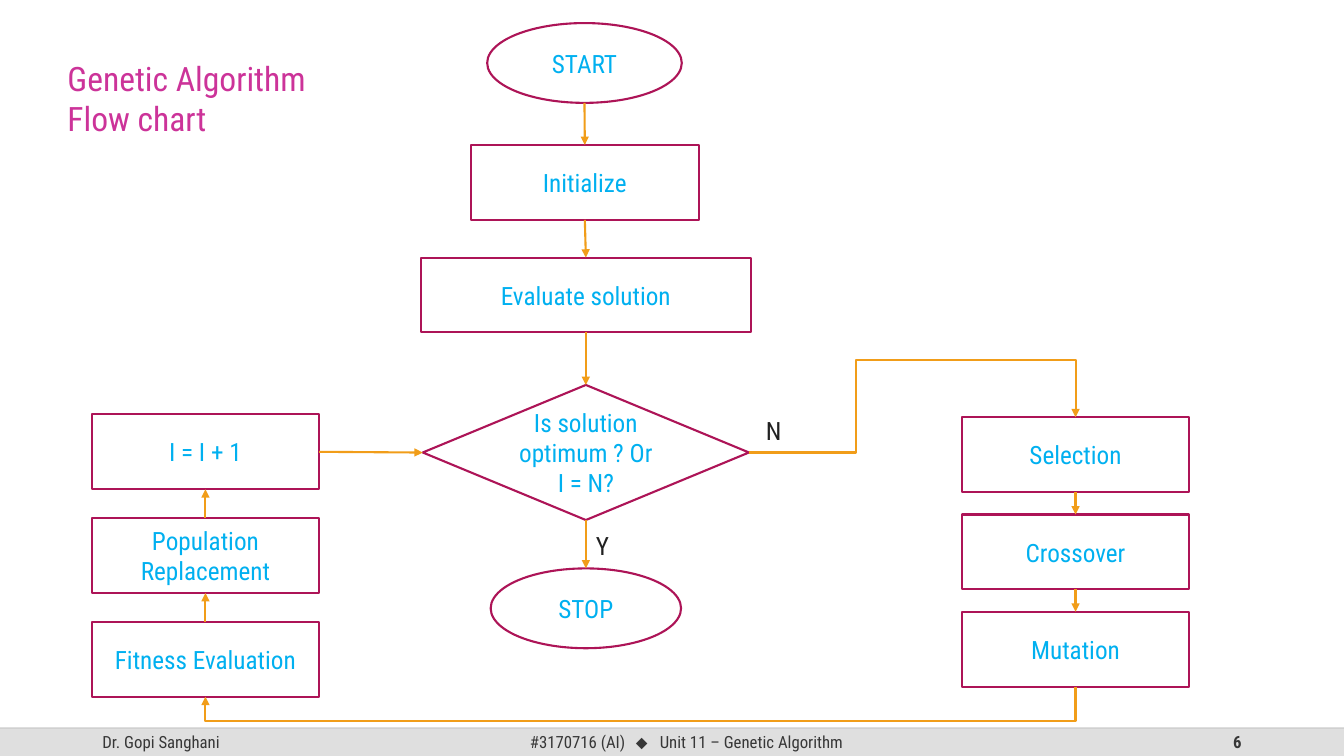
from lxml.etree import SubElement
from pptx import Presentation
from pptx.dml.color import RGBColor
from pptx.enum.shapes import MSO_CONNECTOR, MSO_SHAPE
from pptx.enum.text import MSO_ANCHOR, MSO_AUTO_SIZE, PP_ALIGN
from pptx.oxml.ns import qn
from pptx.util import Pt

MAGENTA = RGBColor(0xAD, 0x14, 0x57)
CYAN = RGBColor(0x00, 0xB0, 0xF0)
ORANGE = RGBColor(0xF1, 0x9D, 0x19)
PINK = RGBColor(0xCC, 0x33, 0x99)
DARK = RGBColor(0x21, 0x21, 0x21)
GREY = RGBColor(0x37, 0x37, 0x37)
BAR = RGBColor(0xDF, 0xDF, 0xDF)
RULE = RGBColor(0xBF, 0xBF, 0xBF)
FONT = "Roboto Condensed"

SLIDE_W, SLIDE_H = 960, 540
BAR_TOP = 520
BOX_W, BOX_H = 162.5, 53.5
MAIN_X, LEFT_X, RIGHT_X = 418.5, 146.75, 768.25
LEFT_TOP, LEFT_STEP = 296, 74.1
RIGHT_TOP, RIGHT_STEP = 298, 69.5
BOTTOM, TOP, LEFT, RIGHT = 2, 0, 1, 3

TITLE = "Genetic Algorithm Flow chart"
MAIN = [
    ("START", MSO_SHAPE.OVAL, 417.5, 16.5, 139, 57),
    ("Initialize", MSO_SHAPE.RECTANGLE, 417.75, 103.5, BOX_W, BOX_H),
    ("Evaluate solution", MSO_SHAPE.RECTANGLE, MAIN_X, 184, 236, BOX_H),
    ("Is solution optimum ? Or I = N?", MSO_SHAPE.FLOWCHART_DECISION,
     MAIN_X, 275, 233, 96.5),
    ("STOP", MSO_SHAPE.OVAL, MAIN_X, 406, 136, 57),
]
LEFT_COLUMN = ["I = I + 1", "Population Replacement", "Fitness Evaluation"]
RIGHT_COLUMN = ["Selection", "Crossover", "Mutation"]
LABELS = [("Y", 418.5, 375), ("N", 540, 293)]
AUTHOR = "Dr. Gopi Sanghani"
COURSE = [("#3170716 (AI)\t", FONT), ("⬥", "Arial"),
          ("\tUnit 11 – Genetic Algorithm", FONT)]
PAGE = "6"

prs = Presentation()
prs.slide_width, prs.slide_height = Pt(SLIDE_W), Pt(SLIDE_H)
s = prs.slides.add_slide(prs.slide_layouts[5])


def write(sp, text, size=18, color=CYAN, align=PP_ALIGN.CENTER,
          anchor=MSO_ANCHOR.MIDDLE, bold=False, tabs=()):
    tf = sp.text_frame
    tf.word_wrap = True
    tf.auto_size = MSO_AUTO_SIZE.NONE
    tf.vertical_anchor = anchor
    p = tf.paragraphs[0]
    p.alignment = align
    if tabs:
        tab_list = SubElement(p._p.get_or_add_pPr(), qn("a:tabLst"))
        for pos, kind in tabs:
            SubElement(tab_list, qn("a:tab"), pos=str(Pt(pos)), algn=kind)
    for words, font in [(text, FONT)] if isinstance(text, str) else text:
        r = p.add_run()
        r.text = words
        r.font.name, r.font.size = font, Pt(size)
        r.font.color.rgb, r.font.bold = color, bold


def text_box(x, y, w, h, text, **fmt):
    sp = s.shapes.add_textbox(Pt(x), Pt(y), Pt(w), Pt(h))
    write(sp, text, **fmt)
    return sp


def node(text, kind, center, top, w=BOX_W, h=BOX_H):
    sp = s.shapes.add_shape(kind, Pt(center - w / 2), Pt(top), Pt(w), Pt(h))
    sp.shadow.inherit = False
    sp.fill.background()
    sp.line.color.rgb, sp.line.width = MAGENTA, Pt(1.5)
    write(sp, text)
    return sp


def column(texts, center, top, step):
    return [node(text, MSO_SHAPE.RECTANGLE, center, top + i * step)
            for i, text in enumerate(texts)]


def line(kind, x1, y1, x2, y2, color=ORANGE, width=1.5, arrow=True):
    c = s.shapes.add_connector(kind, Pt(x1), Pt(y1), Pt(x2), Pt(y2))
    c.line.color.rgb, c.line.width = color, Pt(width)
    if arrow:
        SubElement(c.line._get_or_add_ln(), qn("a:tailEnd"), type="triangle")
    SubElement(c._element.spPr, qn("a:effectLst"))
    return c


def join(a, side_a, b, side_b):
    c = line(MSO_CONNECTOR.STRAIGHT, 0, 0, 0, 0)
    c.begin_connect(a, side_a)
    c.end_connect(b, side_b)


def bend(c, preset, *adjusts):
    geom = c._element.spPr.find(qn("a:prstGeom"))
    geom.set("prst", preset)
    guides = geom.find(qn("a:avLst"))
    for i, value in enumerate(adjusts, 1):
        SubElement(guides, qn("a:gd"), name=f"adj{i}",
                   fmla=f"val {round(value * 100000)}")


title = s.shapes.title
title.left, title.top, title.width, title.height = Pt(41), Pt(37.5), Pt(193), Pt(65.5)
write(title, TITLE, size=24, color=PINK, align=PP_ALIGN.LEFT, anchor=MSO_ANCHOR.TOP)

bar = s.shapes.add_shape(MSO_SHAPE.RECTANGLE, 0, Pt(BAR_TOP), Pt(SLIDE_W),
                         Pt(SLIDE_H - BAR_TOP))
bar.shadow.inherit = False
bar.fill.solid()
bar.fill.fore_color.rgb = BAR
bar.line.fill.background()
footer = dict(size=12, color=GREY)
text_box(66, BAR_TOP, 216, 20, AUTHOR, align=PP_ALIGN.LEFT, **footer)
course = text_box(318, BAR_TOP, 345, 20, COURSE, align=PP_ALIGN.LEFT,
                  tabs=[(80, "ctr"), (92.8, "l")], **footer)
course.text_frame.margin_left = Pt(60.5)
text_box(678, BAR_TOP, 216, 20, PAGE, align=PP_ALIGN.RIGHT, bold=True, **footer)
rule = line(MSO_CONNECTOR.STRAIGHT, 0, BAR_TOP, SLIDE_W, BAR_TOP,
            color=RULE, width=1, arrow=False)
SubElement(next(rule._element.iter(qn("a:srgbClr"))), qn("a:alpha"), val="70000")

main = [node(*item) for item in MAIN]
left = column(LEFT_COLUMN, LEFT_X, LEFT_TOP, LEFT_STEP)
right = column(RIGHT_COLUMN, RIGHT_X, RIGHT_TOP, RIGHT_STEP)
decision = main[3]

for chain in (main, right):
    for a, b in zip(chain, chain[1:]):
        join(a, BOTTOM, b, TOP)
for above, below in zip(left, left[1:]):
    join(below, TOP, above, BOTTOM)
join(left[0], RIGHT, decision, LEFT)

x1, y1 = MAIN_X + 116.5, 323.25
drop_x, rise_y = 611.25, 257
no_path = line(MSO_CONNECTOR.ELBOW, x1, y1, RIGHT_X, RIGHT_TOP)
bend(no_path, "bentConnector4", (drop_x - x1) / (RIGHT_X - x1),
     (y1 - rise_y) / (y1 - RIGHT_TOP))

y1 = RIGHT_TOP + 2 * RIGHT_STEP + BOX_H
y2 = LEFT_TOP + 2 * LEFT_STEP + BOX_H
loop_y = 515.25
mid_x, mid_y = (LEFT_X + RIGHT_X) / 2, (y1 + y2) / 2
half_w, half_h = (y2 - y1) / 2, (RIGHT_X - LEFT_X) / 2
loop = line(MSO_CONNECTOR.ELBOW, mid_x - half_w, mid_y - half_h,
            mid_x + half_w, mid_y + half_h)
loop._element.spPr.find(qn("a:xfrm")).set("rot", str(90 * 60000))
bend(loop, "bentConnector3", (loop_y - y1) / (y2 - y1))

for text, x, y in LABELS:
    text_box(x, y, 21.5, 29, text, color=DARK, align=PP_ALIGN.LEFT,
             anchor=MSO_ANCHOR.TOP)

prs.save("out.pptx")
